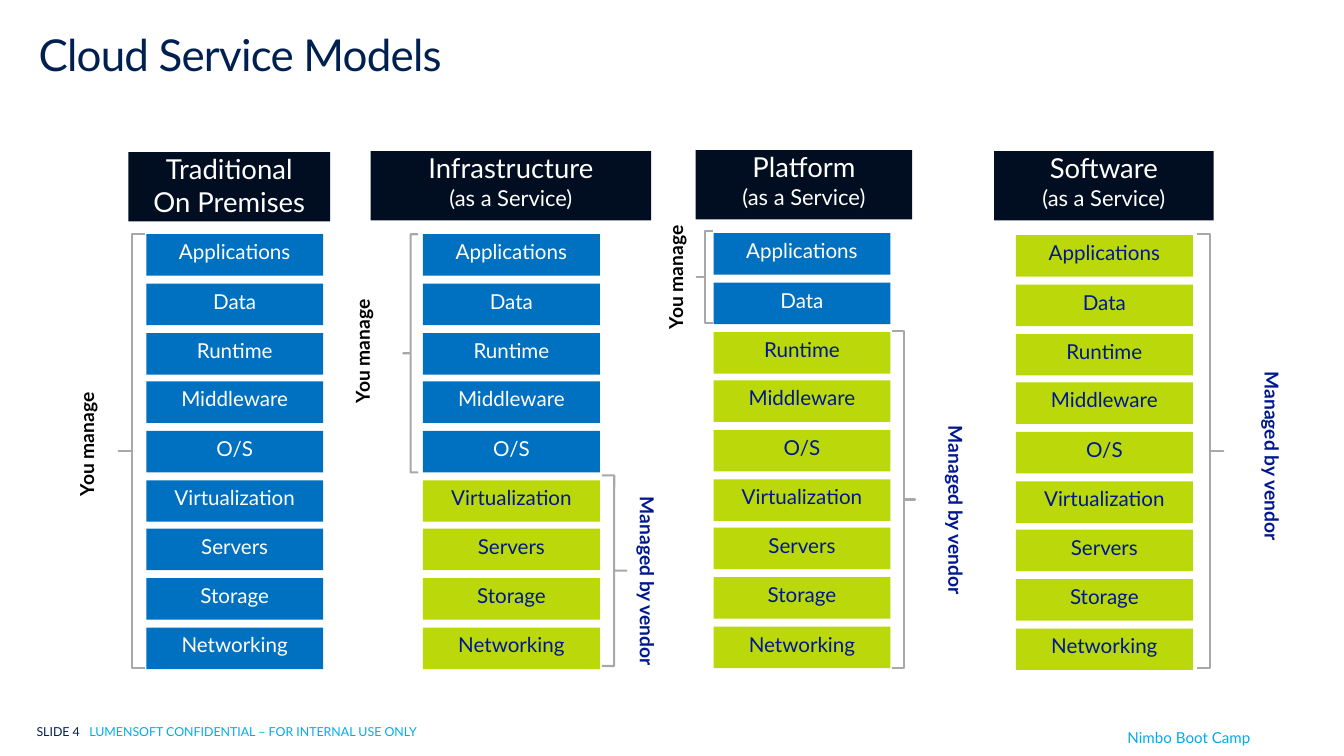
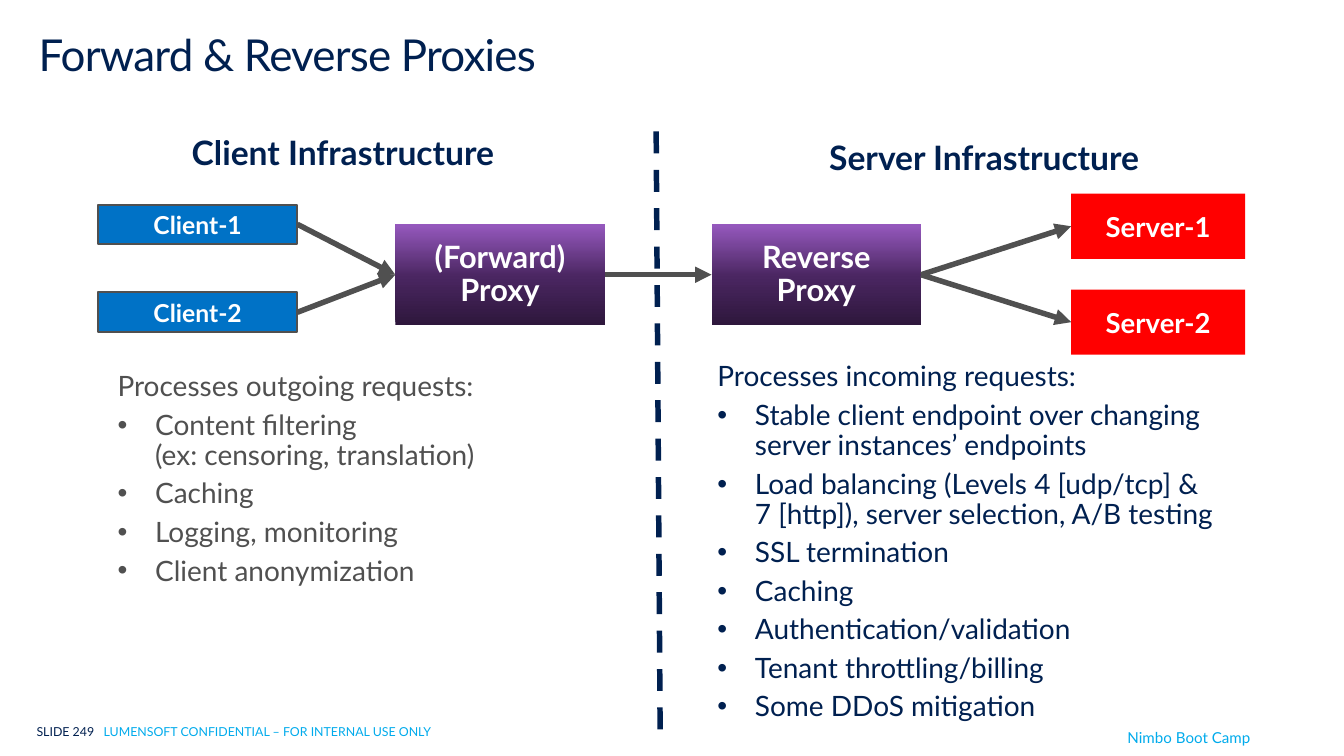
from copy import deepcopy
from dataclasses import dataclass
from typing import NamedTuple

from lxml.etree import SubElement
from pptx import Presentation
from pptx.dml.color import RGBColor
from pptx.enum.dml import MSO_LINE
from pptx.enum.shapes import MSO_CONNECTOR, MSO_SHAPE
from pptx.enum.text import MSO_ANCHOR, MSO_AUTO_SIZE, PP_ALIGN
from pptx.oxml.ns import qn
from pptx.shapes.autoshape import Shape
from pptx.shapes.connector import Connector
from pptx.slide import Slide
from pptx.text.text import TextFrame
from pptx.util import Emu, Pt

PX = 9144  # 100 px to the inch
FONT = "Lato"

NAVY = RGBColor(0x00, 0x20, 0x50)
SKY = RGBColor(0x00, 0xAB, 0xEC)
NIGHT = RGBColor(0x01, 0x0E, 0x21)
BLUE = RGBColor(0x00, 0x70, 0xC0)
AZURE = RGBColor(0x00, 0x72, 0xC6)
LIME = RGBColor(0xBA, 0xD8, 0x0A)
INK = RGBColor(0x00, 0x18, 0x8F)
GREY = RGBColor(0xA8, 0xA8, 0xA8)
SLATE = RGBColor(0x50, 0x50, 0x50)
RED = RGBColor(0xFF, 0x00, 0x00)
BLACK = RGBColor(0x00, 0x00, 0x00)
WHITE = RGBColor(0xFF, 0xFF, 0xFF)
FADE = (
    (0, RGBColor(0x2E, 0x17, 0x3C)),
    (0.48, RGBColor(0x4A, 0x26, 0x61)),
    (1, RGBColor(0x96, 0x59, 0xBE)),
)


class Box(NamedTuple):
    x: int
    y: int
    w: int
    h: int


class Pad(NamedTuple):
    left: int
    top: int
    right: int
    bottom: int


class Span(NamedTuple):
    """A brace and the top left corner of its upright label."""
    brace: Box
    x: int
    y: int


class Font(NamedTuple):
    size: float
    color: RGBColor
    bold: bool = False
    track: int = 0


@dataclass(frozen=True)
class Stack:
    name: str
    sub: str
    sub_size: int
    head: Box
    x: int
    top: int
    mine: int
    ours: Span | None = None
    theirs: Span | None = None


WIDE = Pad(20, 16, 20, 16)
SLIM = Pad(10, 5, 10, 5)
FLAT = Pad(0, 5, 0, 5)

LAYERS = ("Applications", "Data", "Runtime", "Middleware", "O/S",
          "Virtualization", "Servers", "Storage", "Networking")
ROW_W, ROW_H, DROP = 179, 42, 398

STACKS = (
    Stack("Traditional", "On Premises", 20, Box(130, 154, 204, 70), 148, 237, 9,
          ours=Span(Box(120, 237, 27, 439), 71, 395)),
    Stack("Infrastructure", "(as a Service)", 16, Box(375, 153, 284, 70), 428, 237, 5,
          ours=Span(Box(408, 237, 15, 241), 350, 301),
          theirs=Span(Box(609, 481, 25, 193), 628, 493)),
    Stack("Platform", "(as a Service)", 16, Box(704, 152, 219, 70), 722, 236, 2,
          ours=Span(Box(705, 234, 17, 93), 667, 226),
          theirs=Span(Box(903, 335, 23, 341), 940, 421)),
    Stack("Software", "(as a Service)", 16, Box(1006, 153, 222, 70), 1028, 238, 0,
          theirs=Span(Box(1211, 237, 27, 439), 1260, 366)),
)

OUTGOING = (
    "Processes outgoing requests:",
    "Content filtering\n(ex: censoring, translation)",
    "Caching",
    "Logging, monitoring",
    "Client anonymization",
)
INCOMING = (
    "Processes incoming requests:",
    "Stable client endpoint over changing server instances’ endpoints",
    "Load balancing (Levels 4 [udp/tcp] &\n7 [http]), server selection, A/B testing",
    "SSL termination",
    "Caching",
    "Authentication/validation",
    "Tenant throttling/billing",
    "Some DDoS mitigation",
)


def emu(box: Box) -> list[Emu]:
    return [Emu(n * PX) for n in box]


def setup(frame: TextFrame, pad: Pad, anchor: MSO_ANCHOR = MSO_ANCHOR.TOP) -> None:
    frame.word_wrap = True
    frame.vertical_anchor = anchor
    (frame.margin_left, frame.margin_top,
     frame.margin_right, frame.margin_bottom) = [Emu(n * PX) for n in pad]


def write(frame: TextFrame, runs: list[tuple[str, Font]], first: bool = True,
          align: PP_ALIGN = PP_ALIGN.LEFT, lead: float = 1, after: float = 0,
          bullet: bool = False) -> None:
    """Write one paragraph; a newline in a run becomes a line break."""
    para = frame.paragraphs[0] if first else frame.add_paragraph()
    para.alignment = align
    para.line_spacing = lead
    para.space_after = Pt(after)
    if bullet:
        props = para._p.get_or_add_pPr()
        props.set("marL", str(38 * PX))
        props.set("indent", str(-38 * PX))
        SubElement(props, qn("a:buFont")).set("typeface", "Arial")
        SubElement(props, qn("a:buChar")).set("char", "•")
    for text, look in runs:
        for i, part in enumerate(text.split("\n")):
            if i:
                para.add_line_break()
            run = para.add_run()
            run.text = part
            font = run.font
            font.name, font.size, font.bold = FONT, Pt(look.size), look.bold
            font.color.rgb = look.color
            if look.track:
                run._r.get_or_add_rPr().set("spc", str(look.track))


def note(slide: Slide, box: Box, pad: Pad) -> TextFrame:
    frame = slide.shapes.add_textbox(*emu(box)).text_frame
    setup(frame, pad)
    return frame


def block(slide: Slide, box: Box, fill: RGBColor | None, pad: Pad,
          anchor: MSO_ANCHOR = MSO_ANCHOR.TOP) -> Shape:
    """Draw a plain rectangle; without a fill colour it gets the purple fade."""
    shape = slide.shapes.add_shape(MSO_SHAPE.RECTANGLE, *emu(box))
    shape.shadow.inherit = False
    shape.line.fill.background()
    if fill is None:
        fade(shape)
    else:
        shape.fill.solid()
        shape.fill.fore_color.rgb = fill
    setup(shape.text_frame, pad, anchor)
    return shape


def fade(shape: Shape) -> None:
    shape.fill.gradient()
    shape.fill.gradient_angle = 90
    marks = shape._element.spPr.find(".//" + qn("a:gsLst"))
    marks.append(deepcopy(marks[-1]))
    for stop, (place, color) in zip(shape.fill.gradient_stops, FADE):
        stop.position = place
        stop.color.rgb = color


def node(slide: Slide, box: Box, text: str, size: float, fill: RGBColor | None,
         pad: Pad, lead: float = 1) -> Shape:
    shape = block(slide, box, fill, pad, MSO_ANCHOR.MIDDLE)
    write(shape.text_frame, [(text, Font(size, WHITE, True))],
          align=PP_ALIGN.CENTER, lead=lead)
    return shape


def rule(slide: Slide, ends: Box, color: RGBColor) -> Connector:
    """Draw a thick line; ends holds x1, y1, x2, y2."""
    line = slide.shapes.add_connector(MSO_CONNECTOR.STRAIGHT, *emu(ends))
    line.line.color.rgb = color
    line.line.width = Pt(4)
    SubElement(line._element.spPr, qn("a:effectLst"))
    return line


def arrow(slide: Slide, start: Shape, end: Shape) -> None:
    """Point from the right side of one box to the left side of the next."""
    line = rule(slide, Box(0, 0, 0, 0), SLATE)
    line.begin_connect(start, 3)
    line.end_connect(end, 1)
    SubElement(line.line._get_or_add_ln(), qn("a:tailEnd")).set("type", "triangle")


def mark(slide: Slide, span: Span, ours: bool) -> None:
    """Draw a square brace and its upright label."""
    kind = MSO_SHAPE.LEFT_BRACE if ours else MSO_SHAPE.RIGHT_BRACE
    brace = slide.shapes.add_shape(kind, *emu(span.brace))
    brace.shadow.inherit = False
    brace.adjustments[0], brace.adjustments[1] = 0, 0.5
    brace.fill.background()
    brace.line.color.rgb = GREY
    brace.line.width = Pt(1.5)
    text, color, turn, tall = (("You manage", BLACK, "vert270", 109) if ours else
                               ("Managed by vendor", INK, "eaVert", 172))
    frame = note(slide, Box(span.x, span.y, 44, tall), SLIM)
    frame.word_wrap = False
    frame.auto_size = MSO_AUTO_SIZE.SHAPE_TO_FIT_TEXT
    frame._txBody.bodyPr.set("vert", turn)
    write(frame, [(text, Font(14, color, True))], align=PP_ALIGN.CENTER)


def column(slide: Slide, stack: Stack) -> None:
    head = block(slide, stack.head, NIGHT, Pad(0, 0, 0, 0)).text_frame
    write(head, [(stack.name, Font(20, WHITE))], align=PP_ALIGN.CENTER)
    write(head, [(stack.sub, Font(stack.sub_size, WHITE))], first=False,
          align=PP_ALIGN.CENTER)
    for i, layer in enumerate(LAYERS):
        fill, color = (BLUE, WHITE) if i < stack.mine else (LIME, INK)
        y = stack.top + round(i * DROP / (len(LAYERS) - 1))
        row = block(slide, Box(stack.x, y, ROW_W, ROW_H), fill, FLAT)
        write(row.text_frame, [(layer, Font(15, color))], align=PP_ALIGN.CENTER)
    if stack.ours:
        mark(slide, stack.ours, True)
    if stack.theirs:
        mark(slide, stack.theirs, False)


def points(slide: Slide, box: Box, lines: tuple[str, ...], color: RGBColor) -> None:
    """Write a lead line followed by bullets."""
    frame = note(slide, box, WIDE)
    for i, text in enumerate(lines):
        write(frame, [(text, Font(20.4, color))], first=i == 0, lead=0.9,
              after=6, bullet=i > 0)


def start(deck: Presentation, title: str, number: int) -> Slide:
    """Add a blank slide with the shared title and footers."""
    slide = deck.slides.add_slide(deck.slide_layouts[6])
    write(note(slide, Box(37, 728, 686, 33), Pad(0, 16, 20, 16)),
          [(f"SLIDE {number}   ", Font(9, NAVY)),
           ("LUMENSOFT CONFIDENTIAL – FOR INTERNAL USE ONLY", Font(9, SKY))], lead=0.9)
    write(note(slide, Box(1131, 728, 158, 37), Pad(10, 10, 10, 10)),
          [("Nimbo Boot Camp", Font(11, SKY))])
    write(note(slide, Box(39, 29, 1282, 61), Pad(0, 5, 10, 5)),
          [(title, Font(32, NAVY, track=-60))], lead=0.9)
    return slide


def models(deck: Presentation) -> None:
    slide = start(deck, "Cloud Service Models", 4)
    for stack in STACKS:
        column(slide, stack)


def proxies(deck: Presentation) -> None:
    slide = start(deck, "Forward & Reverse Proxies", 249)
    rule(slide, Box(664, 133, 668, 739), NAVY).line.dash_style = MSO_LINE.DASH
    for text, x, y, align in (
            ("Client Infrastructure", 174, 122, PP_ALIGN.LEFT),
            ("Server Infrastructure", 799, 127, PP_ALIGN.CENTER)):
        write(note(slide, Box(x, y, 394, 71), WIDE),
              [(text, Font(24.5, NAVY, True))], align=align, lead=0.9)

    clients = [node(slide, Box(99, y, 202, 40), f"Client-{i}", 18, AZURE, Pad(5, 5, 5, 5))
               for i, y in enumerate((207, 296), 1)]
    for client in clients:
        client.line.color.rgb = SLATE
        client.line.width = Pt(1.5)
    front, back = [node(slide, Box(x, 227, 212, 102), text, 22.4, None, WIDE, 0.9)
                   for x, text in ((400, "(Forward)\nProxy"), (720, "Reverse\nProxy"))]
    servers = [node(slide, Box(1084, y, 176, 66), f"Server-{i}", 20, RED, FLAT)
               for i, y in enumerate((196, 293), 1)]

    for client in clients:
        arrow(slide, client, front)
    arrow(slide, front, back)
    for server in servers:
        arrow(slide, back, server)

    points(slide, Box(99, 361, 513, 256), OUTGOING, SLATE)
    points(slide, Box(706, 351, 598, 400), INCOMING, NAVY)


def main() -> None:
    deck = Presentation()
    deck.slide_width, deck.slide_height = Emu(1360 * PX), Emu(765 * PX)
    models(deck)
    proxies(deck)
    deck.save("out.pptx")


if __name__ == "__main__":
    main()
